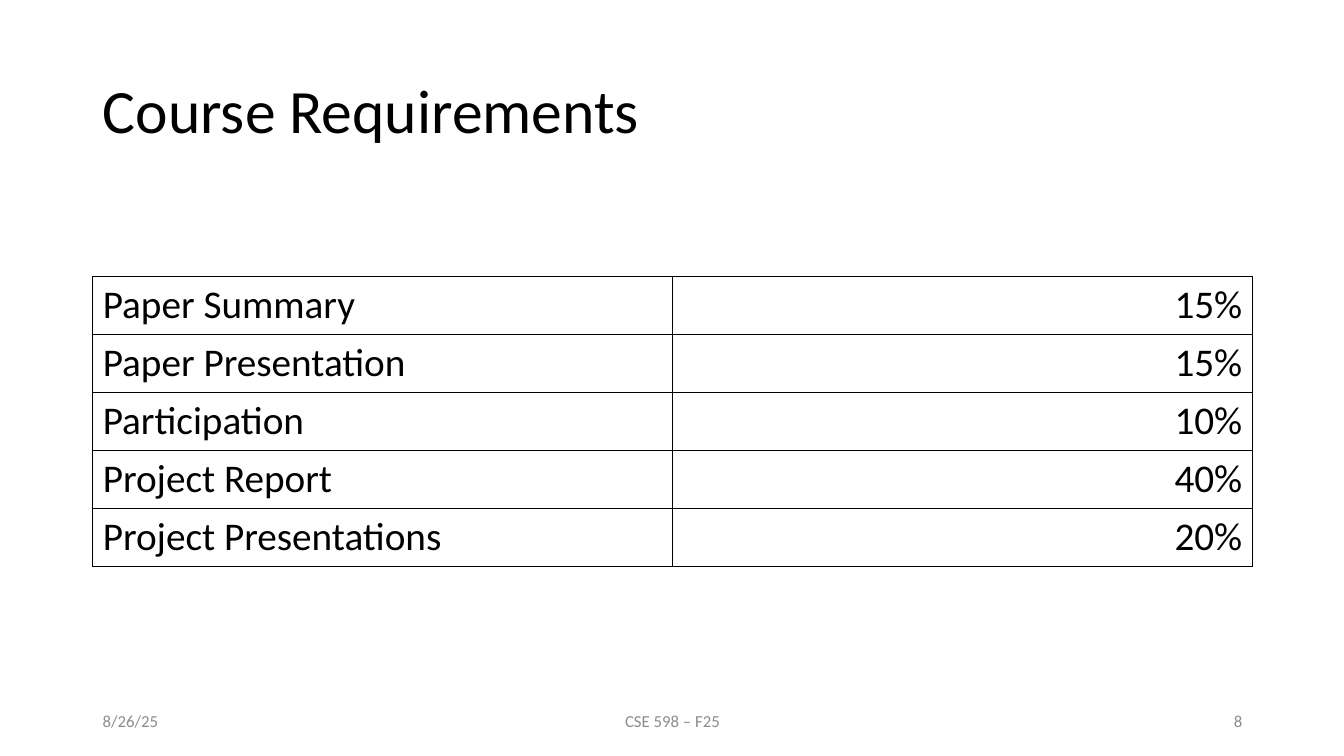
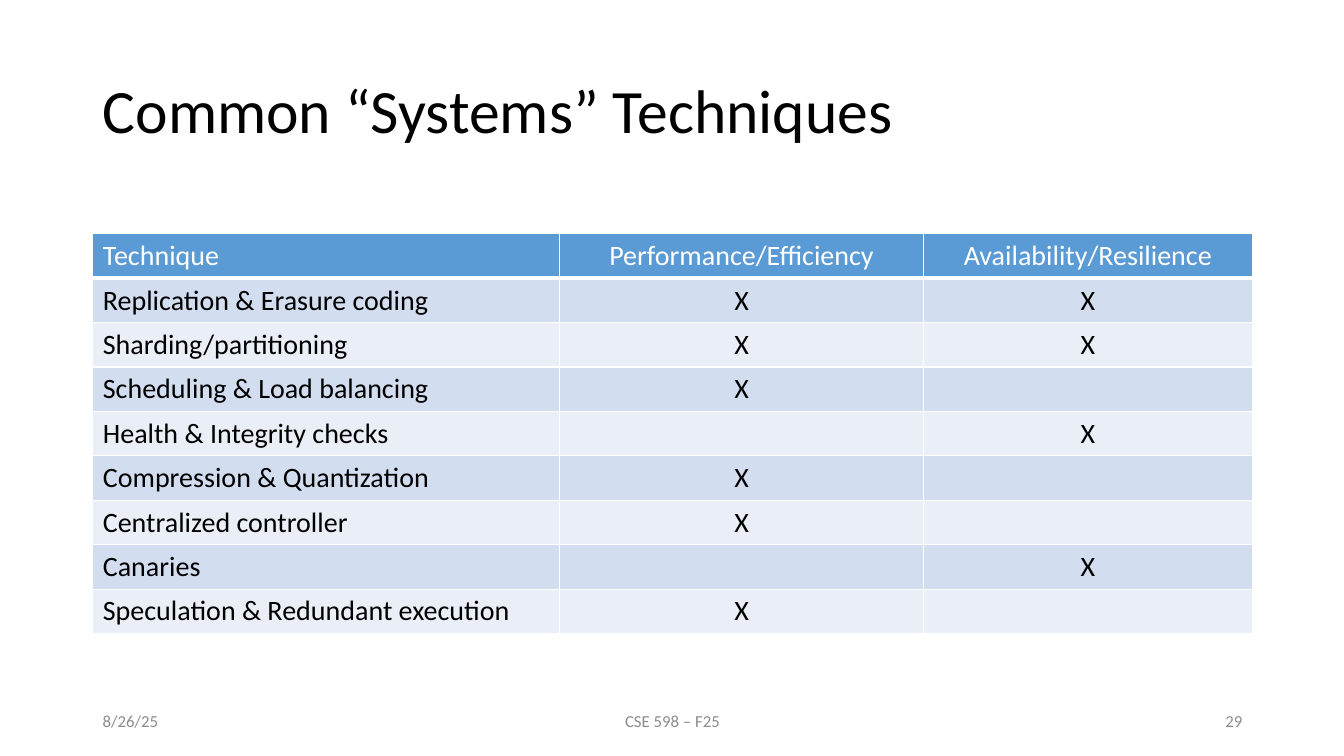
from dataclasses import dataclass

from lxml.etree import SubElement
from pptx import Presentation
from pptx.dml.color import RGBColor
from pptx.enum.text import MSO_ANCHOR, PP_ALIGN
from pptx.oxml.ns import qn
from pptx.util import Inches, Pt

# Shared style
FONT = "Calibri"
BLACK, WHITE, GREY = "000000", "FFFFFF", "8C8C8C"
HEADER_BLUE, BANDS = "5B9BD5", ("D2DEEF", "EAEFF7")
LEFT, CENTER, RIGHT = PP_ALIGN.LEFT, PP_ALIGN.CENTER, PP_ALIGN.RIGHT

# Page grid: 23 columns of half an inch inside the side margins
PAGE_WIDTH, PAGE_HEIGHT = 13.33, 7.5
MARGIN, COLUMN, COLUMNS = 0.92, 0.5, 23
CONTENT_WIDTH = COLUMN * COLUMNS
TITLE_TOP, TITLE_HEIGHT = 0.4, 1.45
FOOTER_TOP, FOOTER_HEIGHT = 6.95, 0.4


@dataclass
class Footer:
    text: str
    column: int
    span: int
    align: PP_ALIGN


@dataclass
class TableStyle:
    top: float
    row_height: float
    widths: tuple[float, ...]
    aligns: tuple[PP_ALIGN, ...]
    size: int
    border: str
    bands: tuple[str, ...]
    header_fill: str | None = None


@dataclass
class Page:
    title: str
    number: int
    rows: list[tuple[str, ...]]
    style: TableStyle


def color(value: str) -> RGBColor:
    return RGBColor.from_string(value)


def write(frame, text: str, *, size: int, ink: str = BLACK, align: PP_ALIGN = LEFT,
          spacing: float = 1.0) -> None:
    """Put one formatted paragraph into a text frame."""
    para = frame.paragraphs[0]
    para.alignment, para.line_spacing = align, spacing
    if not text:
        para.font.size = Pt(size)
        return
    span = para.add_run()
    span.text = text
    span.font.name, span.font.size, span.font.bold = FONT, Pt(size), False
    span.font.color.rgb = color(ink)


def set_borders(cell, ink: str, top: float = 1, bottom: float = 1) -> None:
    properties = cell._tc.get_or_add_tcPr()
    for side, width in (("L", 1), ("R", 1), ("T", top), ("B", bottom)):
        line = SubElement(properties, qn(f"a:ln{side}"), w=str(Pt(width)))
        fill = SubElement(line, qn("a:solidFill"))
        SubElement(fill, qn("a:srgbClr"), val=ink)


def add_title(slide, text: str) -> None:
    title = slide.shapes.title
    title.left, title.top = Inches(MARGIN), Inches(TITLE_TOP)
    title.width, title.height = Inches(CONTENT_WIDTH), Inches(TITLE_HEIGHT)
    title.text_frame.vertical_anchor = MSO_ANCHOR.MIDDLE
    write(title.text_frame, text, size=44, spacing=0.9)


def add_table(slide, rows: list[tuple[str, ...]], style: TableStyle) -> None:
    table = slide.shapes.add_table(
        len(rows), len(style.widths), Inches(MARGIN), Inches(style.top),
        Inches(CONTENT_WIDTH), Inches(style.row_height * len(rows))).table
    table.first_row = table.horz_banding = False
    for column, width in zip(table.columns, style.widths):
        column.width = Inches(width)
    for index, texts in enumerate(rows):
        table.rows[index].height = Inches(style.row_height)
        is_header = style.header_fill is not None and index == 0
        below_header = style.header_fill is not None and index == 1
        band = style.bands[(index - 1) % len(style.bands)]
        for cell, text, align in zip(table.rows[index].cells, texts, style.aligns):
            set_borders(cell, style.border, top=3 if below_header else 1,
                        bottom=3 if is_header else 1)
            cell.fill.solid()
            cell.fill.fore_color.rgb = color(style.header_fill if is_header else band)
            write(cell.text_frame, text, size=style.size, align=align,
                  ink=WHITE if is_header else BLACK)


def add_footers(slide, number: int) -> None:
    for footer in (Footer("8/26/25", 0, 6, LEFT),
                   Footer("CSE 598 – F25", 7, 9, CENTER),
                   Footer(str(number), 17, 6, RIGHT)):
        box = slide.shapes.add_textbox(
            Inches(MARGIN + footer.column * COLUMN), Inches(FOOTER_TOP),
            Inches(footer.span * COLUMN), Inches(FOOTER_HEIGHT))
        box.text_frame.word_wrap = True
        box.text_frame.vertical_anchor = MSO_ANCHOR.MIDDLE
        write(box.text_frame, footer.text, size=12, ink=GREY, align=footer.align)


# Content
PAGES = [
    Page("Course Requirements", 8,
         [("Paper Summary", "15%"),
          ("Paper Presentation", "15%"),
          ("Participation", "10%"),
          ("Project Report", "40%"),
          ("Project Presentations", "20%")],
         TableStyle(top=2.74, row_height=0.57, widths=(CONTENT_WIDTH / 2,) * 2,
                    aligns=(LEFT, RIGHT), size=28, border=BLACK, bands=(WHITE,))),
    Page("Common “Systems” Techniques", 29,
         [("Technique", "Performance/Efficiency", "Availability/Resilience"),
          ("Replication & Erasure coding", "X", "X"),
          ("Sharding/partitioning", "X", "X"),
          ("Scheduling & Load balancing", "X", ""),
          ("Health & Integrity checks", "", "X"),
          ("Compression & Quantization", "X", ""),
          ("Centralized controller", "X", ""),
          ("Canaries", "", "X"),
          ("Speculation & Redundant execution", "X", "")],
         TableStyle(top=2.32, row_height=0.44, widths=(4.63, 3.61, 3.26),
                    aligns=(LEFT, CENTER, CENTER), size=20, border=WHITE,
                    bands=BANDS, header_fill=HEADER_BLUE)),
]


def main() -> None:
    deck = Presentation()
    deck.slide_width, deck.slide_height = Inches(PAGE_WIDTH), Inches(PAGE_HEIGHT)
    title_only = deck.slide_layouts.get_by_name("Title Only")
    for page in PAGES:
        slide = deck.slides.add_slide(title_only)
        add_title(slide, page.title)
        add_table(slide, page.rows, page.style)
        add_footers(slide, page.number)
    deck.save("out.pptx")


if __name__ == "__main__":
    main()
